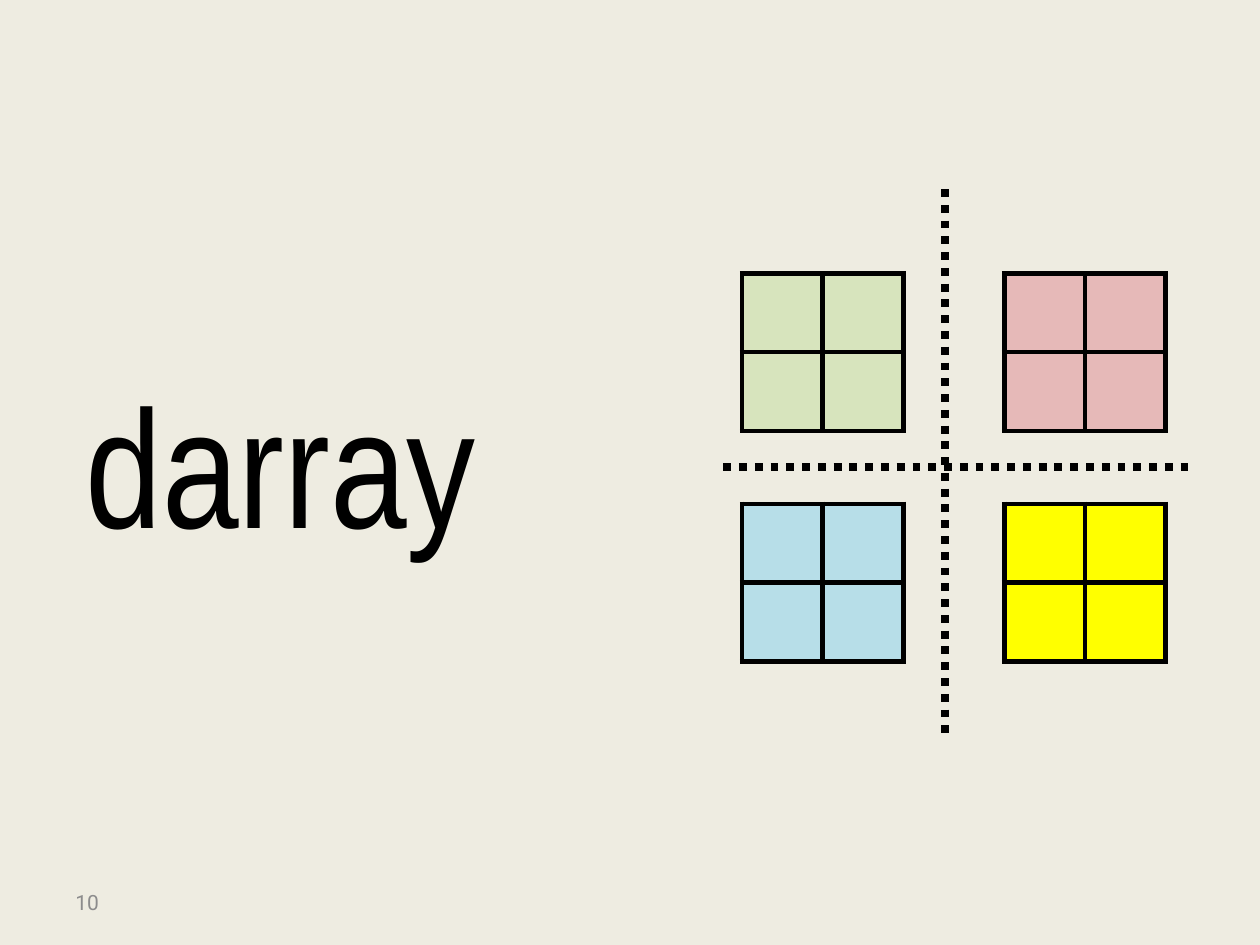
import pptx
import pptx.dml.color
import pptx.enum.dml
import pptx.enum.shapes
import pptx.enum.text
import pptx.oxml
import pptx.oxml.ns
import pptx.util
from pptx.util import Inches

BLACK = "000000"


def color(value):
    return pptx.dml.color.RGBColor.from_string(value)


def add_label(page, box, text, font_name, size, fill, anchor):
    label = page.shapes.add_textbox(*map(Inches, box))
    frame = label.text_frame
    frame.word_wrap = True
    frame.vertical_anchor = anchor
    para = frame.paragraphs[0]
    para.text = text
    para.font.name = font_name
    para.font.size = pptx.util.Pt(size)
    para.font.color.rgb = color(fill)


def add_border(cell, width):
    properties = cell._tc.get_or_add_tcPr()
    namespace = pptx.oxml.ns.nsdecls("a")
    for position, side in enumerate(("lnL", "lnR", "lnT", "lnB")):
        border = pptx.oxml.parse_xml(
            f'<a:{side} {namespace} w="{pptx.util.Pt(width)}">'
            f'<a:solidFill><a:srgbClr val="{BLACK}"/></a:solidFill></a:{side}>'
        )
        properties.insert(position, border)


def add_block(page, box, fill):
    table = page.shapes.add_table(2, 2, *map(Inches, box)).table
    table.first_row = False
    table.horz_banding = False
    for cell in table.iter_cells():
        cell.fill.solid()
        cell.fill.fore_color.rgb = color(fill)
        cell.text_frame.paragraphs[0].font.size = pptx.util.Pt(18)
        add_border(cell, 3)


def add_divider(page, start, end):
    divider = page.shapes.add_connector(
        pptx.enum.shapes.MSO_CONNECTOR.STRAIGHT, *map(Inches, start + end)
    )
    divider.line.color.rgb = color(BLACK)
    divider.line.width = pptx.util.Pt(4.5)
    divider.line.dash_style = pptx.enum.dml.MSO_LINE.ROUND_DOT
    properties = divider._element.spPr
    properties.append(properties.makeelement(pptx.oxml.ns.qn("a:effectLst"), {}))


def add_partitioned_array(page, box):
    left, top, width, height = box
    block_width, block_height = 1.28, 1.25
    columns = (left + 0.15, left + 2.23)
    rows = (top + 0.67, top + 2.5)
    fills = (("D7E4BD", "E6B9B8"), ("B7DEE8", "FFFF00"))
    for y, row_fills in zip(rows, fills):
        for x, fill in zip(columns, row_fills):
            add_block(page, (x, y, block_width, block_height), fill)
    middle_x, middle_y = left + 1.76, top + 2.21
    add_divider(page, (middle_x, top), (middle_x, top + height))
    add_divider(page, (left, middle_y), (left + width, middle_y))


def main():
    deck = pptx.Presentation()
    deck.slide_width = Inches(10)
    deck.slide_height = Inches(7.5)
    page = deck.slides.add_slide(deck.slide_layouts[6])
    page.background.fill.solid()
    page.background.fill.fore_color.rgb = color("EEECE1")

    anchors = pptx.enum.text.MSO_ANCHOR
    add_label(page, (0.58, 2.81, 3.75, 1.72), "darray", "Arial Narrow", 96, BLACK, anchors.TOP)
    add_partitioned_array(page, (5.74, 1.5, 3.69, 4.33))
    add_label(page, (0.5, 6.96, 2.33, 0.4), "10", "Roboto", 12, "8C8C8C", anchors.MIDDLE)
    deck.save("out.pptx")


if __name__ == "__main__":
    main()
